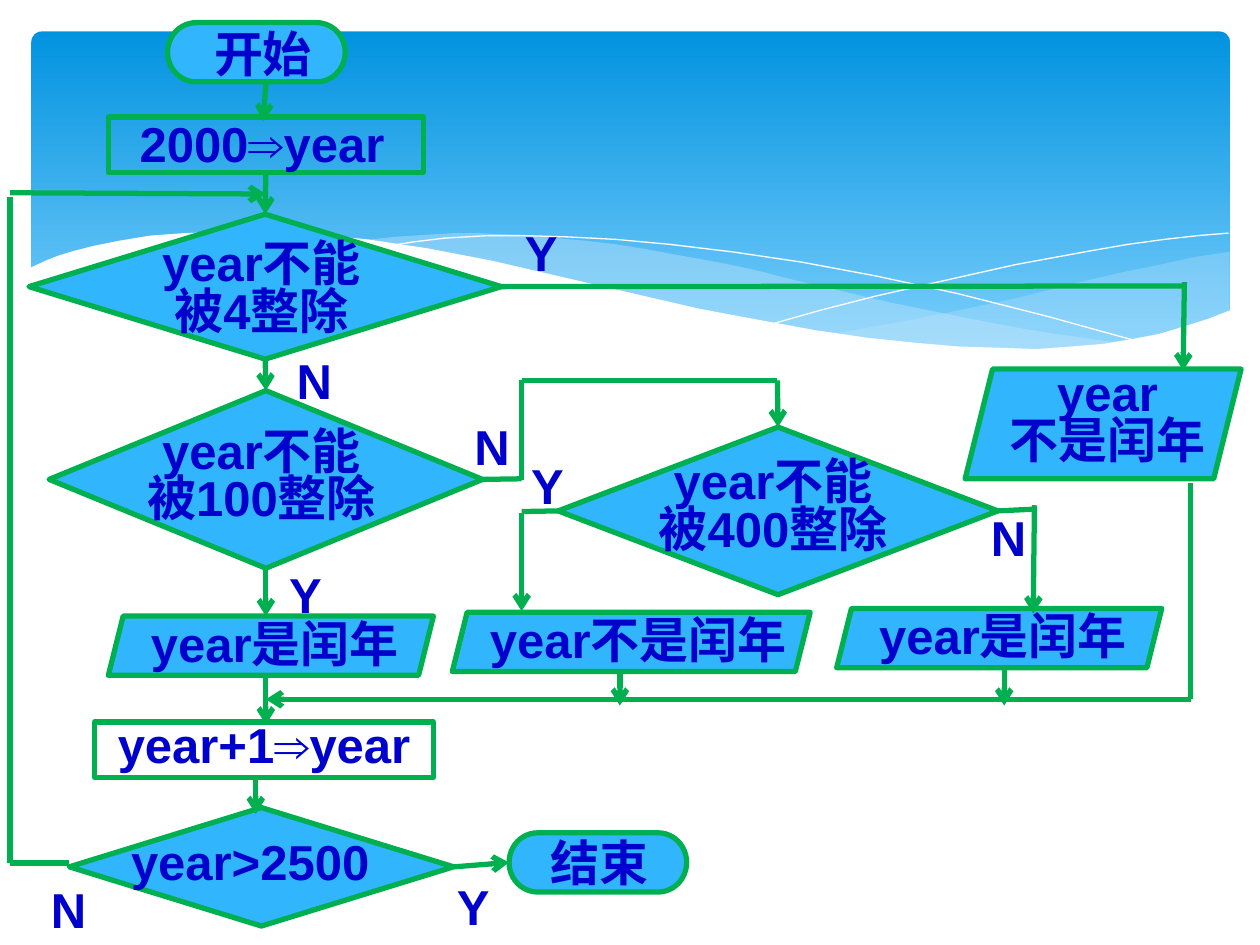
from lxml.etree import SubElement
from pptx import Presentation
from pptx.dml.color import RGBColor
from pptx.enum.shapes import MSO_CONNECTOR, MSO_SHAPE as SHAPE
from pptx.enum.text import MSO_AUTO_SIZE as FIT, PP_ALIGN as ALIGN
from pptx.oxml.ns import qn
from pptx.util import Pt

PX = 9144
GREEN, BLUE, INK, WHITE = "00B050", "31B6FD", "0000CC", "FFFFFF"
FONT = {"name": "Arial", "size": Pt(28), "bold": True}
TOP, LEFT, BOTTOM, RIGHT = range(4)

WAVE_RIGHT = [
    (975, 200), (948, 204), (921, 210), (891, 216), (861, 223), (805, 237), (753, 248),
    (706, 257), (661, 265), (691, 269), (718, 273), (745, 275), (769, 277), (803, 278),
    (835, 277), (863, 275), (889, 272), (913, 267), (935, 262), (963, 252), (976, 247), (976, 200)]
WAVE_MIDDLE = [
    (893, 273), (866, 269), (837, 265), (807, 260), (775, 254), (741, 247), (706, 240),
    (668, 231), (629, 222), (598, 214), (569, 208), (541, 203), (514, 198), (489, 194),
    (464, 191), (441, 189), (420, 187), (399, 186), (380, 185), (361, 185), (344, 186),
    (313, 188), (286, 191), (323, 196), (362, 203), (404, 211), (449, 222), (491, 232),
    (530, 240), (566, 248), (601, 255), (634, 261), (665, 266), (695, 270), (722, 274),
    (748, 276), (773, 278), (807, 279), (838, 278), (867, 276), (893, 273)]
CREST_LONG = [
    (309, 195), (328, 192), (353, 189), (387, 187), (416, 187), (450, 188), (489, 190),
    (532, 194), (582, 200), (636, 208), (695, 219), (760, 233), (831, 251), (907, 272)]
CREST_SHORT = [
    (613, 257), (652, 246), (695, 235), (748, 223), (806, 210), (866, 199), (895, 194),
    (924, 190), (951, 187), (975, 185)]
WAVE_FRONT = [
    (977, 246), (959, 253), (940, 259), (920, 265), (899, 269), (875, 273), (850, 275),
    (823, 277), (793, 276), (761, 275), (726, 272), (688, 268), (647, 262), (603, 254),
    (555, 245), (503, 233), (447, 220), (391, 207), (339, 197), (292, 190), (250, 186),
    (211, 184), (176, 184), (146, 185), (119, 187), (95, 191), (75, 195), (59, 199),
    (46, 203), (36, 207), (23, 213), (23, 329), (977, 329)]

NODES = {
    "start": (SHAPE.FLOWCHART_TERMINATOR, (133, 18, 141, 47), BLUE, (27, -4, 102), "开始"),
    "init": (SHAPE.RECTANGLE, (86, 93, 250, 44), None, (15, -8, 227), "2000⇒year"),
    "by4": (SHAPE.FLOWCHART_DECISION, (23, 170, 375, 115), BLUE, (71, 19, 227), "year不能\n被4整除"),
    "by100": (SHAPE.FLOWCHART_DECISION, (39, 310, 344, 141), BLUE, (55, 28, 227), "year不能\n被100整除"),
    "by400": (SHAPE.FLOWCHART_DECISION, (443, 339, 349, 133), BLUE, (57, 23, 227), "year不能\n被400整除"),
    "not4": (SHAPE.PARALLELOGRAM, (766, 293, 219, 87), BLUE, (23, -1, 180), "year\n不是闰年"),
    "leap100": (SHAPE.PARALLELOGRAM, (86, 489, 258, 47), BLUE, (11, -7, 242), "year是闰年"),
    "not400": (SHAPE.PARALLELOGRAM, (359, 486, 284, 47), BLUE, (11, -7, 273), "year不是闰年"),
    "leap400": (SHAPE.PARALLELOGRAM, (664, 483, 258, 47), BLUE, (11, -7, 242), "year是闰年"),
    "next": (SHAPE.RECTANGLE, (75, 573, 269, 44), None, (-10, -11, 289), "year+1⇒year"),
    "limit": (SHAPE.FLOWCHART_DECISION, (55, 641, 305, 94), BLUE, (30, 23, 227), "year>2500"),
    "end": (SHAPE.FLOWCHART_TERMINATOR, (404, 661, 141, 47), BLUE, (23, -5, 102), "结束"),
}

LINKS = [
    ((211, 66), (209, 96), True),
    (("init", BOTTOM), ("by4", TOP), True),
    (("by4", BOTTOM), ("by100", TOP), True),
    (("by100", BOTTOM), (211, 489), True),
    ((211, 536), (211, 575), True),
    ((203, 615), (203, 646), True),
    (("limit", RIGHT), ("end", LEFT), True),
    ((55, 685), (8, 685), False),
    ((8, 685), (8, 156), False),
    ((8, 153), (211, 154), True),
    (("by4", RIGHT), (938, 227), False),
    ((940, 224), (939, 294), True),
    (("by100", RIGHT), (414, 380), False),
    ((414, 381), (414, 302), False),
    ((414, 302), (617, 302), False),
    ((617, 302), ("by400", TOP), True),
    (("by400", LEFT), (414, 406), False),
    ((414, 407), (414, 485), True),
    (("by400", RIGHT), (823, 404), False),
    ((821, 401), (820, 487), True),
    ((945, 383), (945, 555), False),
    ((945, 555), (211, 555), True),
    ((492, 531), (492, 560), True),
    ((797, 531), (797, 560), True),
]

LABELS = [
    ("Y", 398, 172), ("N", 218, 273), ("N", 359, 326), ("Y", 403, 357), ("N", 769, 398),
    ("Y", 211, 443), ("N", 23, 693), ("Y", 344, 691)]


def rgb(value):
    return RGBColor.from_string(value)


def emu(*values):
    return [v * PX for v in values]


def paint(sp, fill=None, line=None, width=3):
    sp.shadow.inherit = False
    if fill:
        sp.fill.solid()
        sp.fill.fore_color.rgb = rgb(fill)
    else:
        sp.fill.background()
    if line:
        sp.line.color.rgb = rgb(line)
        sp.line.width = Pt(width)
    else:
        sp.line.fill.background()


def add_text(s, box, text, align=ALIGN.CENTER, spacing=None):
    tf = s.shapes.add_textbox(*emu(*box)).text_frame
    tf.word_wrap = True
    tf.auto_size = FIT.SHAPE_TO_FIT_TEXT
    tf.text = text
    for p in tf.paragraphs:
        p.alignment = align
        p.line_spacing = spacing
        for r in p.runs:
            for key, value in FONT.items():
                setattr(r.font, key, value)
            r.font.color.rgb = rgb(INK)


def add_wave(s, box, points, fill=None, line=None, alpha=None):
    x, y = box[:2]
    pts = [(x + a, y + b) for a, b in points]
    builder = s.shapes.build_freeform(*pts[0], scale=PX)
    builder.add_line_segments(pts[1:], close=fill is not None)
    sp = builder.convert_to_shape()
    paint(sp, fill, line, 0)
    if alpha:
        color = sp._element.spPr.find(qn("a:solidFill")).find(qn("a:srgbClr"))
        SubElement(color, qn("a:alpha"), val=str(alpha * 1000))


def add_backdrop(s, box):
    x, y = box[:2]
    sp = s.shapes.add_shape(SHAPE.ROUNDED_RECTANGLE, *emu(x + 25, y + 25, 951, 270))
    sp.adjustments[0] = 0.03
    paint(sp)
    sp.fill.gradient()
    sp.fill.gradient_angle = 270
    for stop, color, position in zip(sp.fill.gradient_stops, ("0293E0", "83D3FE"), (0, 1)):
        stop.color.rgb = rgb(color)
        stop.position = position
    add_wave(s, box, WAVE_RIGHT, "C6E7FC", alpha=29)
    add_wave(s, box, WAVE_MIDDLE, "C6E7FC", alpha=40)
    for crest in (CREST_LONG, CREST_SHORT):
        add_wave(s, box, crest, line=WHITE)
    add_wave(s, box, WAVE_FRONT, WHITE)


def add_node(s, kind, box, fill, inner, text):
    x, y, w, h = box
    dx, dy, text_w = inner
    sp = s.shapes.add_shape(kind, *emu(x, y, w, h))
    paint(sp, fill, GREEN)
    tight = kind == SHAPE.FLOWCHART_DECISION or "\n" in text
    text_h = 85 if "\n" in text else 48 if tight else 57
    left = kind == SHAPE.FLOWCHART_TERMINATOR or text.startswith("2000")
    add_text(s, (x + dx, y + dy, text_w, text_h), text,
             ALIGN.LEFT if left else ALIGN.CENTER, Pt(27) if tight else None)
    return sp


def add_link(s, box, nodes, start, stop, arrow):
    ends = [(0, 0) if e[0] in nodes else (box[0] + e[0], box[1] + e[1]) for e in (start, stop)]
    c = s.shapes.add_connector(MSO_CONNECTOR.STRAIGHT, *emu(*ends[0], *ends[1]))
    for end, connect in ((start, c.begin_connect), (stop, c.end_connect)):
        if end[0] in nodes:
            connect(nodes[end[0]], end[1])
    c.line.color.rgb = rgb(GREEN)
    c.line.width = Pt(3)
    spPr = c._element.spPr
    if arrow:
        SubElement(spPr.find(qn("a:ln")), qn("a:tailEnd"), type="arrow")
    SubElement(spPr, qn("a:effectLst"))


def add_flowchart(s, box):
    x, y = box[:2]
    nodes = {}
    for name, (kind, (left, top, w, h), fill, inner, text) in NODES.items():
        nodes[name] = add_node(s, kind, (x + left, y + top, w, h), fill, inner, text)
    for link in LINKS:
        add_link(s, box, nodes, *link)
    for text, left, top in LABELS:
        add_text(s, (x + left, y + top, 63, 57), text)


def main():
    prs = Presentation()
    prs.slide_width, prs.slide_height = emu(1000, 750)
    s = prs.slides.add_slide(prs.slide_layouts[6])
    area = (0, 0, 1000, 750)
    add_backdrop(s, area)
    add_flowchart(s, area)
    prs.save("out.pptx")


if __name__ == "__main__":
    main()
